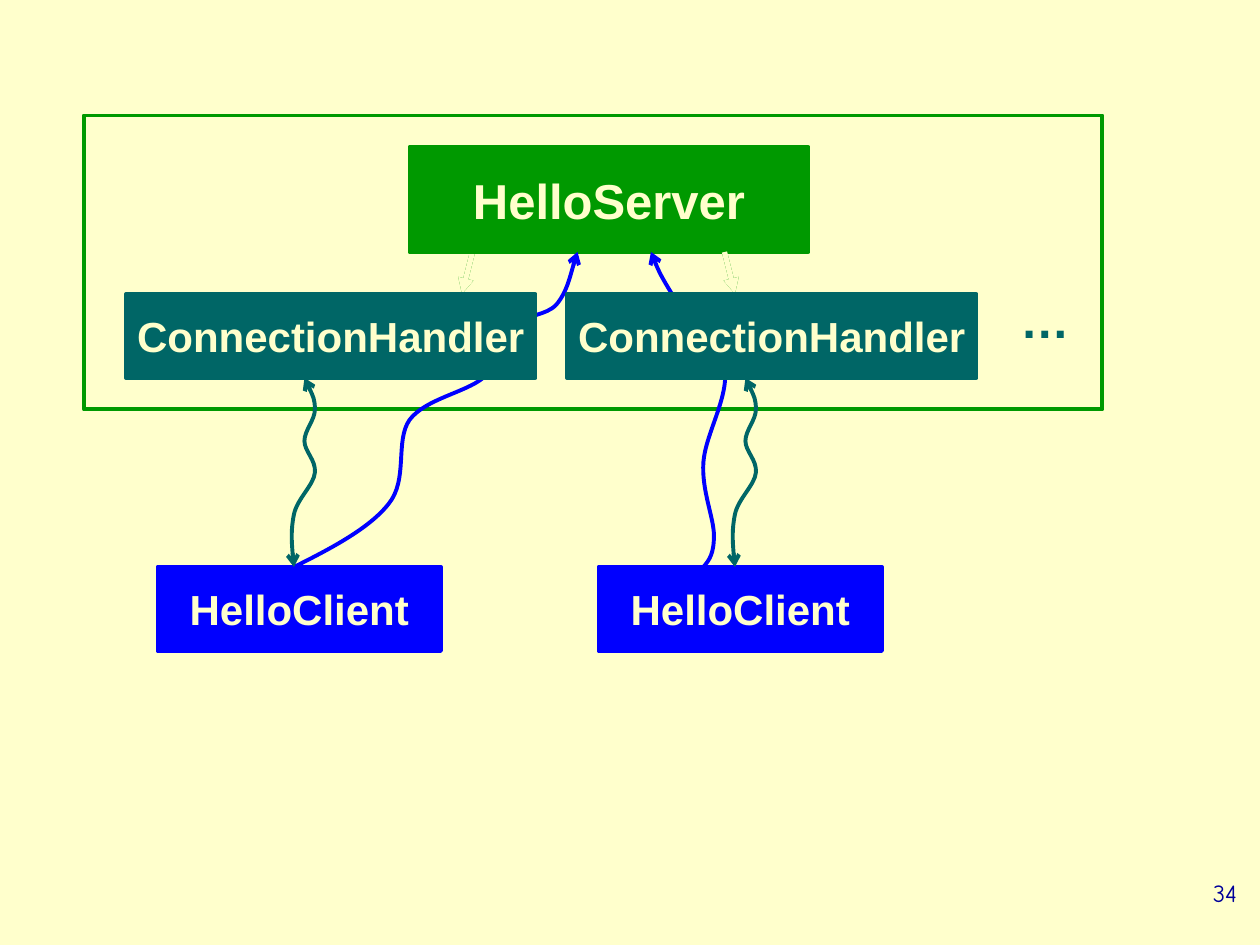
from lxml.etree import SubElement
from pptx import Presentation
from pptx.dml.color import RGBColor
from pptx.enum.shapes import MSO_CONNECTOR, MSO_SHAPE
from pptx.enum.text import MSO_ANCHOR, PP_ALIGN
from pptx.oxml.ns import qn
from pptx.util import Pt

PX = 7620
CREAM, GREEN, TEAL, BLUE, NAVY = "FFFFCC", "009900", "006666", "0000FF", "000099"

REQUEST_LEFT = [
    (160, 300), (196, 282), (232, 263), (250, 240), (269, 217), (256, 180), (270, 160),
    (285, 140), (323, 134), (340, 120), (356, 106), (359, 82), (370, 70),
    (382, 59), (400, 61), (410, 50), (420, 38), (427, 8), (430, 0),
]
REQUEST_RIGHT = [
    (130, 300), (136, 293), (140, 287), (140, 270), (140, 253), (128, 227), (130, 200),
    (132, 173), (155, 137), (150, 110), (145, 83), (112, 59), (100, 40),
    (89, 22), (84, 11), (80, 0),
]
DIALOGUE = [
    (170, 120), (175, 130), (180, 140), (180, 150), (180, 160), (170, 170), (170, 180),
    (170, 190), (181, 198), (180, 210), (179, 222), (163, 235), (160, 250),
    (157, 265), (158, 282), (160, 300),
]


def px(*lengths):
    """Turn px lengths into EMU."""
    return [length * PX for length in lengths]


def paint(color_format, color):
    """Set a fill, line or font colour from a hex string."""
    color_format.rgb = RGBColor.from_string(color)


def set_line(line, color, width=2.25, **ends):
    """Style a line and add arrowheads given as headEnd or tailEnd."""
    line.fill.solid()
    paint(line.color, color)
    line.width = Pt(width)
    for end in ("headEnd", "tailEnd"):
        if end in ends:
            SubElement(line._get_or_add_ln(), qn(f"a:{end}"), type=ends[end])


def write(frame, text, size, color, font="Arial", bold=True, align=PP_ALIGN.CENTER):
    """Fill a text frame with one paragraph."""
    paragraph = frame.paragraphs[0]
    paragraph.text = text
    paragraph.alignment = align
    paragraph.font.size = Pt(size)
    paragraph.font.name = font
    paragraph.font.bold = bold
    paint(paragraph.font.color, color)


def add_box(slide, box, color, text=None, size=24):
    """Add a filled, labelled rectangle, or only a frame when there is no text."""
    rectangle = slide.shapes.add_shape(MSO_SHAPE.RECTANGLE, *px(*box))
    rectangle.shadow.inherit = False
    set_line(rectangle.line, color)
    if text is None:
        rectangle.fill.background()
        return
    rectangle.fill.solid()
    paint(rectangle.fill.fore_color, color)
    rectangle.text_frame.word_wrap = False
    rectangle.text_frame.vertical_anchor = MSO_ANCHOR.MIDDLE
    write(rectangle.text_frame, text, size, CREAM)


def add_label(slide, box, text, size, color, **style):
    """Add a wrapping text box."""
    frame = slide.shapes.add_textbox(*px(*box)).text_frame
    frame.word_wrap = True
    write(frame, text, size, color, **style)


def add_curve(slide, left, top, points, color, **ends):
    """Add a Bezier curve through a start point and triples of control points."""
    start, *controls = [px(left + x, top + y) for x, y in points]
    builder = slide.shapes.build_freeform(*start)
    builder.add_line_segments(controls, close=False)
    curve = builder.convert_to_shape()
    curve.shadow.inherit = False
    curve.fill.background()
    set_line(curve.line, color, **ends)
    path = curve._element.find(f".//{qn('a:path')}")
    segments = path.findall(qn("a:lnTo"))
    for first in range(0, len(segments), 3):
        bezier = SubElement(path, qn("a:cubicBezTo"))
        for segment in segments[first:first + 3]:
            bezier.append(segment[0])
            path.remove(segment)


def add_spawn_arrow(slide, left, top, start, end):
    """Add the pale arrow over its green outline from server to handler."""
    for color in (GREEN, CREAM):
        arrow = slide.shapes.add_connector(
            MSO_CONNECTOR.STRAIGHT, *px(left + start, top, left + end, top + 40))
        set_line(arrow.line, color, 3, tailEnd="triangle")
        SubElement(arrow._element.spPr, qn("a:effectLst"))


def add_connection(slide, left, top, request):
    """Add one client, its request to the server and its handler."""
    add_box(slide, (left + 30, top + 300, 270, 80), BLUE, "HelloClient")
    add_curve(slide, left, top, request, BLUE, tailEnd="arrow")
    add_box(slide, (left, top + 40, 390, 80), TEAL, "ConnectionHandler")
    add_curve(slide, left, top, DIALOGUE, TEAL, headEnd="arrow", tailEnd="arrow")


def add_server_diagram(slide, left, top):
    """Add the server frame with its two connections."""
    first, second, base = left + 40, left + 460, top + 130
    add_box(slide, (left, top, 970, 280), GREEN)
    add_spawn_arrow(slide, first, base, 330, 320)
    add_box(slide, (left + 310, top + 30, 380, 100), GREEN, "HelloServer", 28)
    add_connection(slide, first, base, REQUEST_LEFT)
    add_spawn_arrow(slide, second, base, 150, 160)
    add_connection(slide, second, base, REQUEST_RIGHT)
    add_label(slide, (left + 880, top + 160, 70, 68), "…", 28, TEAL)


def main():
    """Build and save the slide."""
    deck = Presentation()
    deck.slide_width, deck.slide_height = px(1200, 900)
    slide = deck.slides.add_slide(deck.slide_layouts[6])
    slide.background.fill.solid()
    paint(slide.background.fill.fore_color, CREAM)
    add_label(slide, (940, 830, 250, 60), "34", 14, NAVY,
              font="Comic Neue", bold=False, align=PP_ALIGN.RIGHT)
    add_server_diagram(slide, 80, 110)
    deck.save("out.pptx")


if __name__ == "__main__":
    main()
